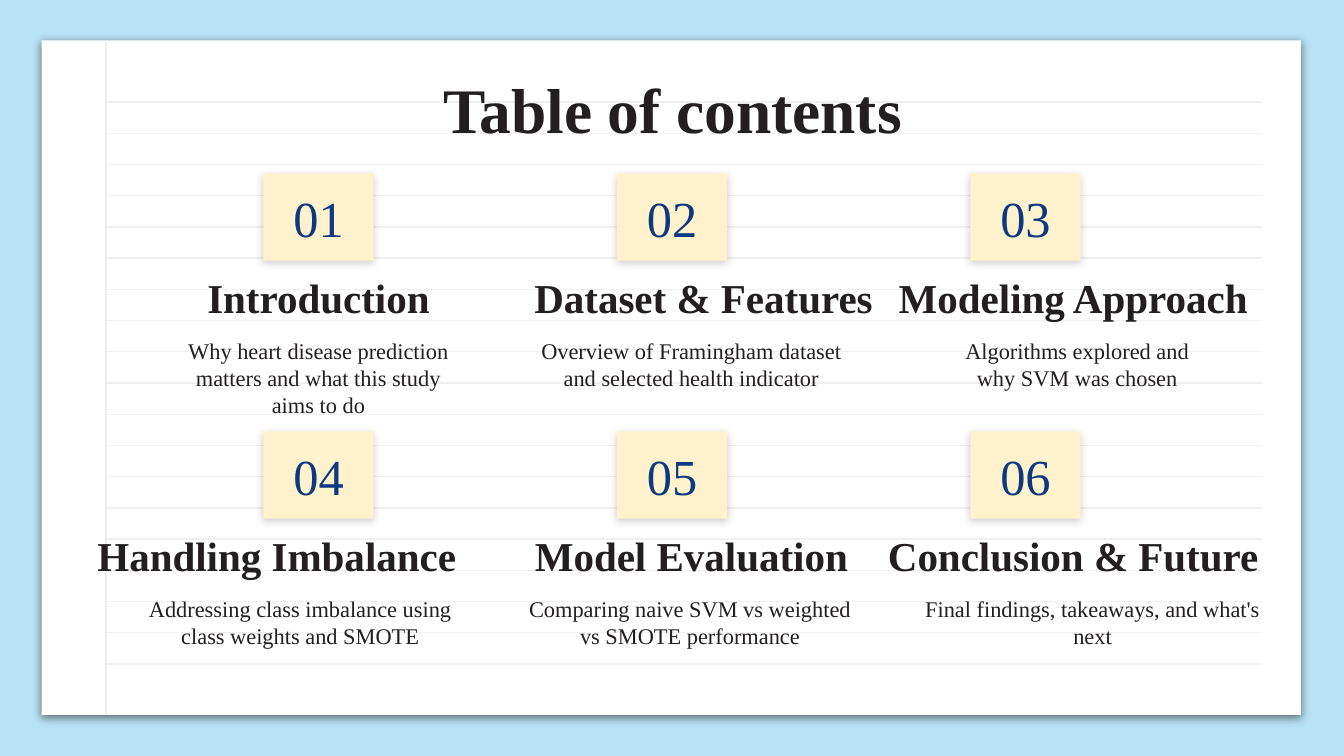
from dataclasses import dataclass

from lxml.etree import SubElement
from pptx import Presentation
from pptx.dml.color import RGBColor
from pptx.enum.shapes import MSO_CONNECTOR as Connector, MSO_SHAPE as Preset
from pptx.enum.text import MSO_ANCHOR as Anchor, MSO_AUTO_SIZE as AutoSize, PP_ALIGN as Align
from pptx.oxml.ns import qn
from pptx.util import Inches, Pt

SKY, PAPER, RULE = "B8E2F5", "FFFFFF", "F0F0F0"
NOTE, INK, NAVY, BLACK = "FFF2CC", "231F20", "0C3982", "000000"
FONT = "Times New Roman"

# Sheet of ruled paper
SHEET_LEFT, SHEET_TOP, SHEET_WIDTH, SHEET_HEIGHT = 0.31, 0.30, 9.37, 5.02
MARGIN, RULE_END = 0.79, 9.39
FIRST_RULE, LAST_RULE, RULE_COUNT = 0.76, 4.94, 19

# Grid of topics: three columns, two rows
COLUMNS = 3
COLUMN_CENTRE, COLUMN_STEP = 2.37, 2.63
ROW_TOP, ROW_STEP = 1.29, 1.92
NOTE_WIDTH, NOTE_HEIGHT = 0.82, 0.65
HEADING_DROP, HEADING_HEIGHT = 0.63, 0.58
BLURB_DROP, BLURB_HEIGHT = 1.12, 0.53


@dataclass(frozen=True)
class Topic:
    """A topic; each span is the left edge and width of its text."""
    heading: str
    heading_span: tuple[float, float]
    blurb: str
    blurb_span: tuple[float, float]


TOPICS = [
    Topic("Introduction", (1.2, 2.34),
          "Why heart disease prediction matters and what this study aims to do", (1.2, 2.34)),
    Topic("Dataset & Features", (3.83, 2.81),
          "Overview of Framingham dataset and selected health indicator", (3.83, 2.63)),
    Topic("Modeling Approach", (6.46, 3.05),
          "Algorithms explored and why SVM was chosen", (6.94, 2.15)),
    Topic("Handling Imbalance", (0.58, 2.96),
          "Addressing class imbalance using class weights and SMOTE", (0.93, 2.61)),
    Topic("Model Evaluation", (3.83, 2.63),
          "Comparing naive SVM vs weighted vs SMOTE performance", (3.83, 2.61)),
    Topic("Conclusion & Future", (6.46, 3.05),
          "Final findings, takeaways, and what's next", (6.75, 2.76)),
]


def colour(value: str) -> RGBColor:
    return RGBColor.from_string(value)


def write(shape, text: str, *, size: float, color: str = INK,
          bold: bool = False, anchor=Anchor.MIDDLE) -> None:
    frame = shape.text_frame
    frame.word_wrap = True
    frame.auto_size = AutoSize.NONE
    frame.vertical_anchor = anchor
    frame.margin_left = frame.margin_right = Inches(0.1)
    frame.margin_top = frame.margin_bottom = Inches(0.1)
    paragraph = frame.paragraphs[0]
    paragraph.alignment = Align.CENTER
    run = paragraph.add_run()
    run.text = text
    run.font.name = FONT
    run.font.size = Pt(size)
    run.font.bold = bold
    run.font.color.rgb = colour(color)


def add_card(slide, left: float, top: float, width: float, height: float,
             *, fill: str, shadow: str, opacity: int):
    """Add a borderless rectangle with a soft shadow below it."""
    card = slide.shapes.add_shape(
        Preset.RECTANGLE, Inches(left), Inches(top), Inches(width), Inches(height))
    card.fill.solid()
    card.fill.fore_color.rgb = colour(fill)
    card.line.fill.background()
    card.shadow.inherit = False
    effects = card._element.spPr.find(qn("a:effectLst"))
    outer = SubElement(effects, qn("a:outerShdw"), blurRad=str(Pt(4.5)),
                       dist=str(Pt(1.5)), dir="5400000", algn="bl", rotWithShape="0")
    tint = SubElement(outer, qn("a:srgbClr"), val=shadow)
    SubElement(tint, qn("a:alpha"), val=str(opacity * 1000))
    return card


def add_rule(slide, x1: float, y1: float, x2: float, y2: float) -> None:
    rule = slide.shapes.add_connector(
        Connector.STRAIGHT, Inches(x1), Inches(y1), Inches(x2), Inches(y2))
    rule.line.color.rgb = colour(RULE)
    rule.line.width = Pt(0.75)
    SubElement(rule._element.spPr, qn("a:effectLst"))


def add_paper(slide) -> None:
    add_card(slide, SHEET_LEFT, SHEET_TOP, SHEET_WIDTH, SHEET_HEIGHT,
             fill=PAPER, shadow=BLACK, opacity=50)
    step = (LAST_RULE - FIRST_RULE) / (RULE_COUNT - 1)
    for index in range(RULE_COUNT):
        y = FIRST_RULE + index * step
        add_rule(slide, MARGIN, y, RULE_END, y)
    add_rule(slide, MARGIN, SHEET_TOP, MARGIN, SHEET_TOP + SHEET_HEIGHT)


def add_label(slide, span: tuple[float, float], top: float, height: float):
    left, width = span
    return slide.shapes.add_textbox(Inches(left), Inches(top), Inches(width), Inches(height))


def add_topic(slide, index: int, topic: Topic) -> None:
    row, column = divmod(index, COLUMNS)
    top = ROW_TOP + row * ROW_STEP
    left = COLUMN_CENTRE + column * COLUMN_STEP - NOTE_WIDTH / 2

    heading = add_label(slide, topic.heading_span, top + HEADING_DROP, HEADING_HEIGHT)
    write(heading, topic.heading, size=22, bold=True)
    number = add_card(slide, left, top, NOTE_WIDTH, NOTE_HEIGHT,
                      fill=NOTE, shadow=INK, opacity=22)
    write(number, f"{index + 1:02}", size=27, color=NAVY)
    blurb = add_label(slide, topic.blurb_span, top + BLURB_DROP, BLURB_HEIGHT)
    write(blurb, topic.blurb, size=12, anchor=Anchor.TOP)


def add_title(slide, text: str) -> None:
    title = slide.shapes.title
    title.left, title.top = Inches(MARGIN), Inches(0.49)
    title.width, title.height = Inches(8.43), Inches(0.63)
    write(title, text, size=34, bold=True)
    slide.shapes._spTree.append(title._element)  # bring in front of the paper


def main() -> None:
    deck = Presentation()
    deck.slide_width = Inches(10)
    deck.slide_height = Inches(10 * 9 / 16)
    slide = deck.slides.add_slide(deck.slide_layouts[5])
    slide.background.fill.solid()
    slide.background.fill.fore_color.rgb = colour(SKY)

    add_paper(slide)
    for index, topic in enumerate(TOPICS):
        add_topic(slide, index, topic)
    add_title(slide, "Table of contents")
    deck.save("out.pptx")


if __name__ == "__main__":
    main()
